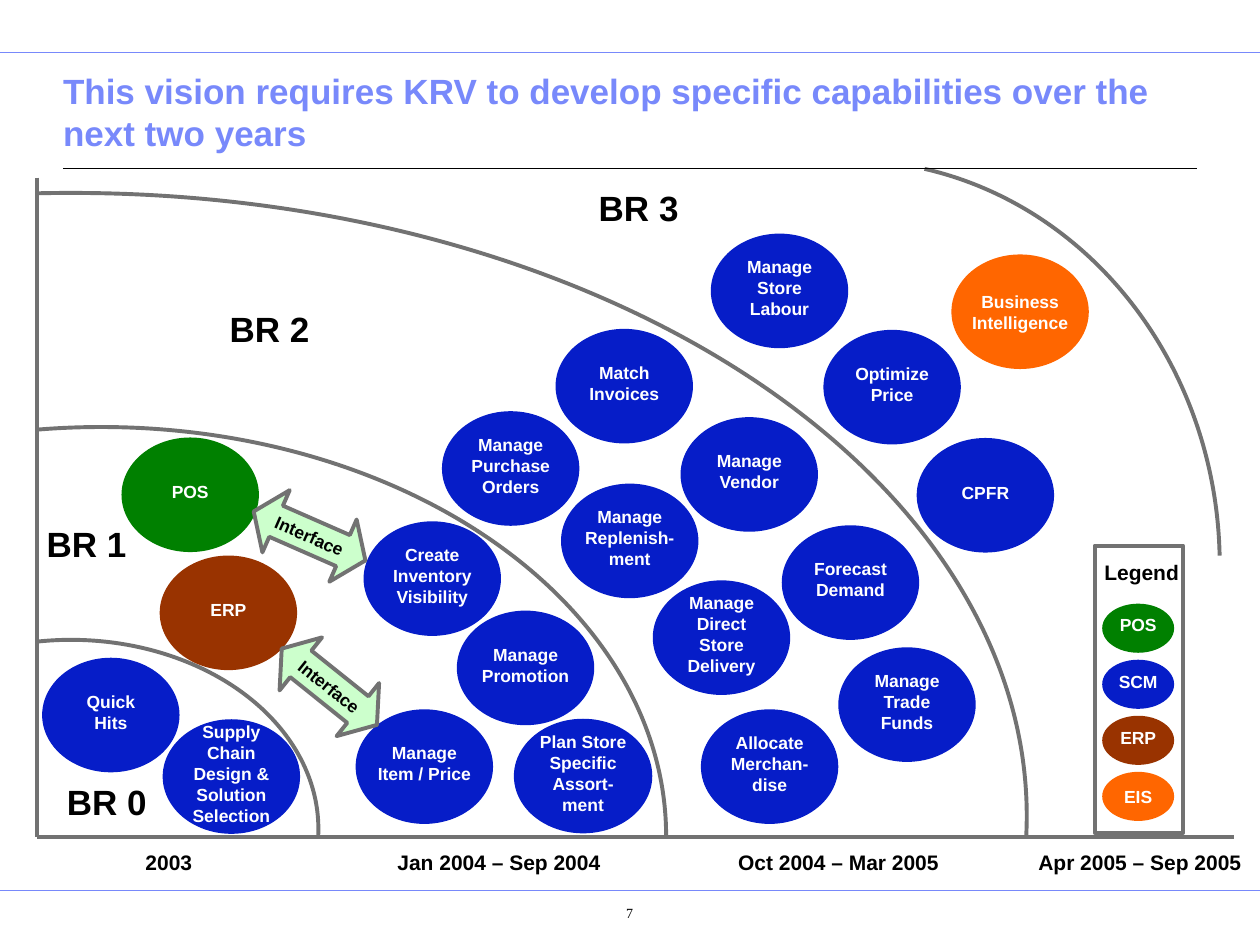
from math import asin, atan2, cos, acos, degrees, sin
from typing import NamedTuple

from pptx import Presentation
from pptx.dml.color import RGBColor
from pptx.enum.shapes import MSO_CONNECTOR as CONN, MSO_SHAPE as SHAPE
from pptx.enum.text import MSO_ANCHOR as ANCHOR, PP_ALIGN as ALIGN
from pptx.oxml.ns import qn
from pptx.util import Cm, Pt
from lxml.etree import SubElement

SCM, POS, ERP, EIS = "061DC8", "008000", "993300", "FF6600"
GREY, PERIWINKLE, BLACK, WHITE, MINT = "727272", "7889FB", "000000", "FFFFFF", "CCFFCC"
AXIS_X, AXIS_Y = 0.74, 16.87
ADJUSTMENT_PER_DEGREE = 0.6


class Arc(NamedTuple):
    x: float
    y: float
    w: float
    h: float
    start_x: float = AXIS_X
    end_y: float = AXIS_Y


class Oval(NamedTuple):
    text: str
    x: float
    y: float
    color: str = SCM
    w: float = 2.77
    h: float = 2.31


class Label(NamedTuple):
    text: str
    x: float
    y: float
    w: float
    h: float = 0.76
    size: float = 12


class Line(NamedTuple):
    x1: float
    y1: float
    x2: float
    y2: float
    color: str
    width: float


class Interface(NamedTuple):
    x: float
    y: float
    angle: float


ARCS = [
    Arc(9.6, 3.23, 14.99, 16.31, 18.64, 11.2),
    Arc(-9.35, 8.61, 22.78, 16.48),
    Arc(-17.81, 3.89, 38.51, 25.12),
    Arc(-3.56, 12.9, 9.98, 7.62),
]
LINES = [
    Line(0, 1.06, 25.4, 1.06, PERIWINKLE, 0.5),
    Line(0, 17.96, 25.4, 17.96, PERIWINKLE, 0.5),
    Line(1.27, 3.4, 24.13, 3.4, BLACK, 0.75),
    Line(AXIS_X, AXIS_Y, 24.87, AXIS_Y, GREY, 2.25),
    Line(AXIS_X, 3.58, AXIS_X, AXIS_Y, GREY, 2.25),
]
CAPABILITIES = [
    Oval("Match\nInvoices", 11.2, 6.63),
    Oval("POS", 2.45, 8.82, POS),
    Oval("Manage Promotion", 9.21, 12.31),
    Oval("Manage Item / Price", 7.17, 14.3),
    Oval("Manage\nReplenish-ment", 11.31, 9.75),
    Oval("Manage Direct Store Delivery", 13.16, 11.7),
    Oval("Create Inventory Visibility", 7.33, 10.51),
    Oval("Optimize Price", 16.6, 6.65),
    Oval("Forecast Demand", 15.76, 10.59),
    Oval("CPFR", 18.48, 8.83),
    Oval("Manage Purchase Orders", 8.91, 8.29),
    Oval("Manage Vendor", 13.72, 8.41),
    Oval("Plan Store Specific Assort- ment", 10.36, 14.49, w=2.79),
    Oval("Manage Store Labour", 14.33, 4.71),
    Oval("Allocate Merchan-dise", 14.13, 14.3),
    Oval("ERP", 3.22, 11.2, ERP),
    Oval("Business Intelligence", 19.18, 5.13, EIS),
    Oval("Manage\nTrade\nFunds", 16.9, 13.05),
    Oval("Quick\nHits", 0.85, 13.26),
    Oval("Supply Chain\nDesign & Solution Selection", 3.28, 14.5),
]
LEGEND = [("POS", POS), ("SCM", SCM), ("ERP", ERP), ("EIS", EIS)]
INTERFACES = [Interface(5.41, 13.16, 38.7), Interface(5.01, 10.12, 23.7)]
LABELS = [
    Label("2003", 2.68, 17, 1.45),
    Label("Jan 2004 – Sep 2004", 7.76, 17, 4.6),
    Label("Oct 2004 – Mar 2005", 14.63, 17, 4.55),
    Label("Apr 2005 – Sep 2005", 20.68, 17, 4.6),
    Label("BR 0", 1.1, 15.6, 2.11, 1.12, 20),
    Label("BR 1", 0.69, 10.4, 2.11, 1.12, 20),
    Label("BR 2", 4.38, 6.07, 2.11, 1.12, 20),
    Label("BR 3", 11.82, 3.63, 2.11, 1.12, 20),
    Label("Legend", 21.95, 11.16, 2.13),
]


def rgb(color: str) -> RGBColor:
    return RGBColor.from_string(color)


def write(tf, text: str, size: float, color: str, align=ALIGN.CENTER,
          bold: bool = True, font: str = "Arial") -> None:
    tf.text = text
    for p in tf.paragraphs:
        p.alignment = align
        for r in p.runs:
            r.font.name, r.font.size, r.font.bold = font, Pt(size), bold
            r.font.color.rgb = rgb(color)


def set_margins(tf, left: float, top: float, right: float, bottom: float) -> None:
    tf.margin_left, tf.margin_top = Cm(left), Cm(top)
    tf.margin_right, tf.margin_bottom = Cm(right), Cm(bottom)


def outline(sp) -> None:
    sp.shadow.inherit = False
    sp.line.color.rgb = rgb(GREY)
    sp.line.width = Pt(2.25)


def draw_arc(s, arc: Arc) -> None:
    rx, ry = arc.w / 2, arc.h / 2
    start = -acos((arc.start_x - arc.x - rx) / rx)
    end = asin((arc.end_y - arc.y - ry) / ry)
    sp = s.shapes.add_shape(SHAPE.ARC, Cm(arc.x), Cm(arc.y), Cm(arc.w), Cm(arc.h))
    for i, angle in enumerate((start, end)):
        turn = degrees(atan2(ry * sin(angle), rx * cos(angle))) % 360
        sp.adjustments[i] = turn * ADJUSTMENT_PER_DEGREE
    sp.fill.background()
    outline(sp)


def draw_line(s, line: Line) -> None:
    sp = s.shapes.add_connector(CONN.STRAIGHT, Cm(line.x1), Cm(line.y1), Cm(line.x2), Cm(line.y2))
    sp.line.color.rgb = rgb(line.color)
    sp.line.width = Pt(line.width)
    SubElement(sp._element.spPr, qn("a:effectLst"))


def draw_oval(s, oval: Oval) -> None:
    sp = s.shapes.add_shape(SHAPE.OVAL, Cm(oval.x), Cm(oval.y), Cm(oval.w), Cm(oval.h))
    sp.shadow.inherit = False
    sp.fill.solid()
    sp.fill.fore_color.rgb = rgb(oval.color)
    sp.line.fill.background()
    tf = sp.text_frame
    tf.word_wrap = True
    tf.vertical_anchor = ANCHOR.MIDDLE
    set_margins(tf, 0, 0, 0, 0 if oval.color == EIS else 0.13)
    write(tf, oval.text, 10, WHITE)


def draw_interface(s, arrow: Interface) -> None:
    sp = s.shapes.add_shape(SHAPE.LEFT_RIGHT_ARROW, Cm(arrow.x), Cm(arrow.y), Cm(2.46), Cm(1.37))
    sp.adjustments[0], sp.adjustments[1] = 0.5, 0.36
    sp.rotation = arrow.angle
    sp.fill.solid()
    sp.fill.fore_color.rgb = rgb(MINT)
    outline(sp)
    sp.text_frame.word_wrap = False
    sp.text_frame.vertical_anchor = ANCHOR.MIDDLE
    write(sp.text_frame, "Interface", 10, BLACK)


def draw_label(s, label: Label) -> None:
    sp = s.shapes.add_textbox(Cm(label.x), Cm(label.y), Cm(label.w), Cm(label.h))
    sp.text_frame.word_wrap = False
    write(sp.text_frame, label.text, label.size, BLACK)


def main() -> None:
    prs = Presentation()
    prs.slide_width, prs.slide_height = Cm(25.4), Cm(19.05)
    s = prs.slides.add_slide(prs.slide_layouts[5])

    title = s.shapes.title
    title.left, title.top, title.width, title.height = Cm(1.27), Cm(1.63), Cm(22.86), Cm(1.6)
    tf = title.text_frame
    tf.word_wrap = True
    tf.vertical_anchor = ANCHOR.BOTTOM
    set_margins(tf, 0, 0.13, 0, 0.13)
    write(tf, "This vision requires KRV to develop specific capabilities over the next two years",
          20, PERIWINKLE, ALIGN.LEFT)

    for arc in ARCS:
        draw_arc(s, arc)
    for line in LINES:
        draw_line(s, line)
    for oval in CAPABILITIES:
        draw_oval(s, oval)

    frame = s.shapes.add_shape(SHAPE.RECTANGLE, Cm(22.07), Cm(11), Cm(1.78), Cm(5.79))
    frame.fill.background()
    outline(frame)
    for i, (text, color) in enumerate(LEGEND):
        draw_oval(s, Oval(text, 22.22, 12.17 + 1.13 * i, color, 1.45, 0.99))

    for arrow in INTERFACES:
        draw_interface(s, arrow)
    for label in LABELS:
        draw_label(s, label)

    number = s.shapes.add_textbox(Cm(10.85), Cm(18.06), Cm(2.92), Cm(0.89))
    set_margins(number.text_frame, 1.02, 0.18, 0.25, 0.13)
    write(number.text_frame, "7", 8, BLACK, bold=False, font="Times New Roman")

    prs.save("out.pptx")


if __name__ == "__main__":
    main()
